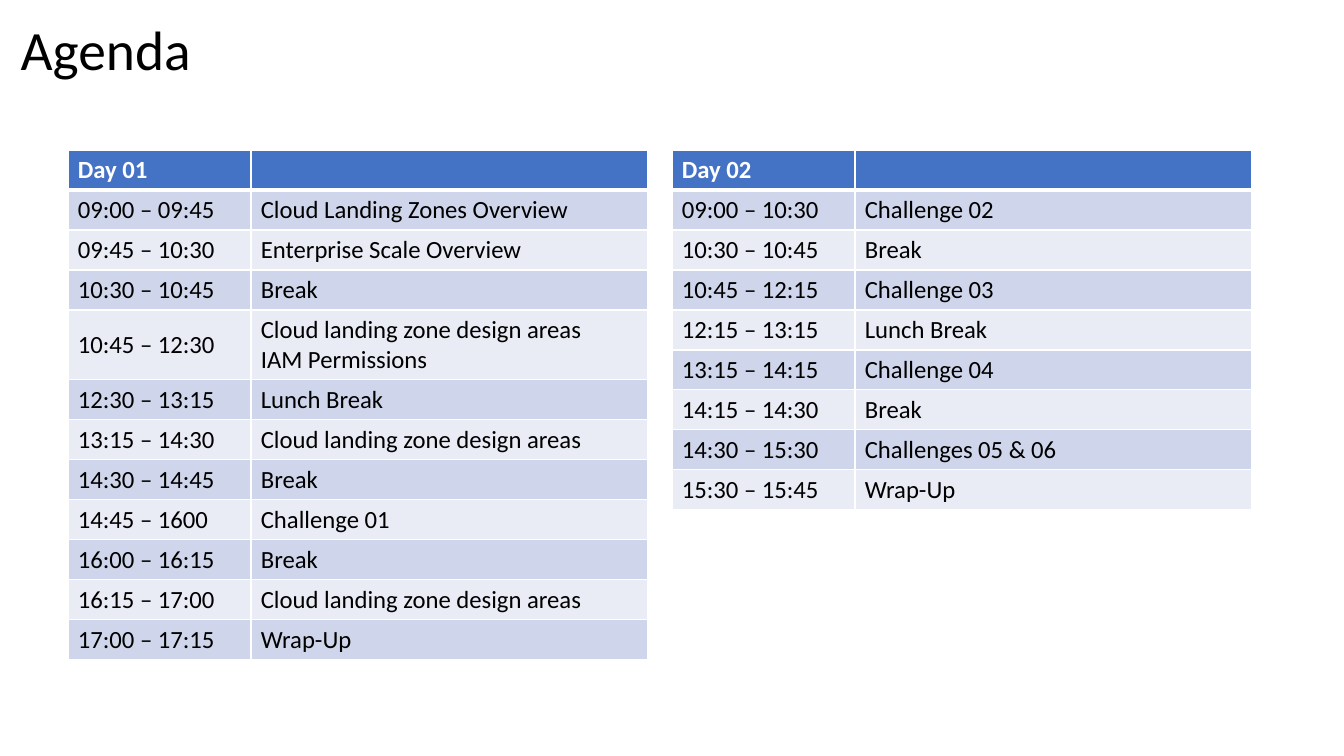
from pptx import Presentation
from pptx.dml.color import RGBColor as Rgb
from pptx.enum.text import MSO_ANCHOR as Anchor
from pptx.oxml.ns import qn
from pptx.util import Pt
from lxml.etree import SubElement as Sub

PX = 9255
HUES = {"head": "4472C4", "odd": "CFD5EA", "even": "E9EBF5",
        "ink": "000000", "white": "FFFFFF"}

DAYS = [
    (68, "Day 01", [
        ("09:00 – 09:45", "Cloud Landing Zones Overview"),
        ("09:45 – 10:30", "Enterprise Scale Overview"),
        ("10:30 – 10:45", "Break"),
        ("10:45 – 12:30", "Cloud landing zone design areas\nIAM Permissions"),
        ("12:30 – 13:15", "Lunch Break"),
        ("13:15 – 14:30", "Cloud landing zone design areas"),
        ("14:30 – 14:45", "Break"),
        ("14:45 – 1600", "Challenge 01"),
        ("16:00 – 16:15", "Break"),
        ("16:15 – 17:00", "Cloud landing zone design areas"),
        ("17:00 – 17:15", "Wrap-Up"),
    ]),
    (672, "Day 02", [
        ("09:00 – 10:30", "Challenge 02"),
        ("10:30 – 10:45", "Break"),
        ("10:45 – 12:15", "Challenge 03"),
        ("12:15 – 13:15", "Lunch Break"),
        ("13:15 – 14:15", "Challenge 04"),
        ("14:15 – 14:30", "Break"),
        ("14:30 – 15:30", "Challenges 05 & 06"),
        ("15:30 – 15:45", "Wrap-Up"),
    ]),
]


def write(frame, text, size=18, hue="ink", bold=False, space=None):
    frame.text = text
    for para in frame.paragraphs:
        para.line_spacing = space
        for font in [para.font] + [run.font for run in para.runs]:
            font.name = "Calibri"
            font.size = Pt(size)
            font.bold = bold
            font.color.rgb = Rgb.from_string(HUES[hue])


class Board:
    def __init__(self, deck, hues):
        self.hues = hues
        self.slide = deck.slides.add_slide(deck.slide_layouts[6])

    def title(self, text, x, y, w, h):
        box = self.slide.shapes.add_textbox(x * PX, y * PX, w * PX, h * PX)
        box.text_frame.word_wrap = True
        write(box.text_frame, text, size=40.4, space=0.9)

    def edge(self, cell, side, width):
        line = Sub(cell._tc.get_or_add_tcPr(), qn("a:ln" + side), w=str(Pt(width)))
        fill = Sub(line, qn("a:solidFill"))
        Sub(fill, qn("a:srgbClr"), val=self.hues["white"])

    def cell(self, cell, text, row):
        head = row == 0
        write(cell.text_frame, text, hue="white" if head else "ink", bold=head)
        cell.vertical_anchor = Anchor.MIDDLE
        for side in "LRTB":
            thick = (head and side == "B") or (row == 1 and side == "T")
            self.edge(cell, side, 3 if thick else 1)
        name = "head" if head else "odd" if row % 2 else "even"
        cell.fill.solid()
        cell.fill.fore_color.rgb = Rgb.from_string(self.hues[name])

    def table(self, rows, x, y, wide, high, extra):
        tall = [high + extra * max(t.count("\n") for t in row) for row in rows]
        grid = self.slide.shapes.add_table(
            len(rows), len(wide), x * PX, y * PX, sum(wide) * PX, sum(tall) * PX).table
        for col, width in zip(grid.columns, wide):
            col.width = width * PX
        for r, row in enumerate(rows):
            grid.rows[r].height = tall[r] * PX
            for c, text in enumerate(row):
                self.cell(grid.cell(r, c), text, r)


def main():
    deck = Presentation()
    deck.slide_width = 1344 * PX
    deck.slide_height = 756 * PX
    board = Board(deck, HUES)
    board.title("Agenda", 11, 18, 1214, 61)
    for left, day, plan in DAYS:
        board.table([(day, "")] + plan, left, 150, (183, 397), 40, 30)
    deck.save("out.pptx")


if __name__ == "__main__":
    main()
